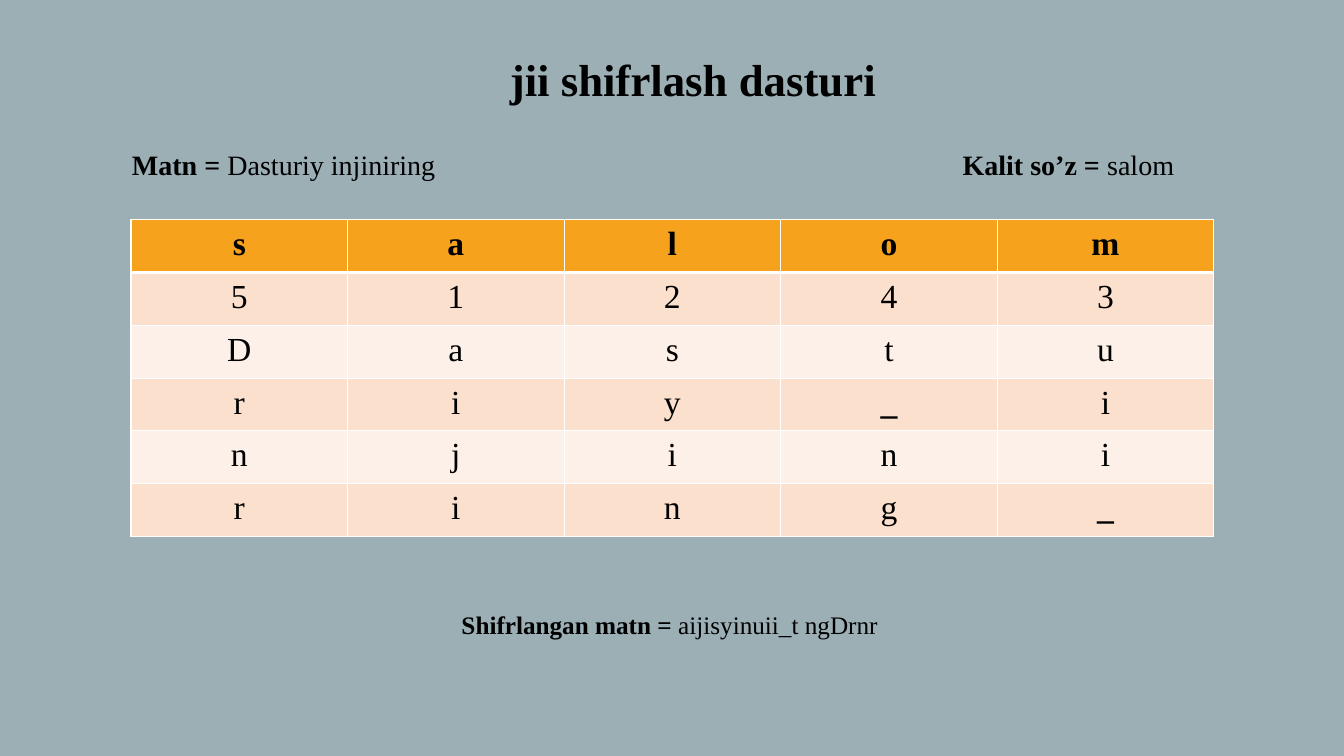
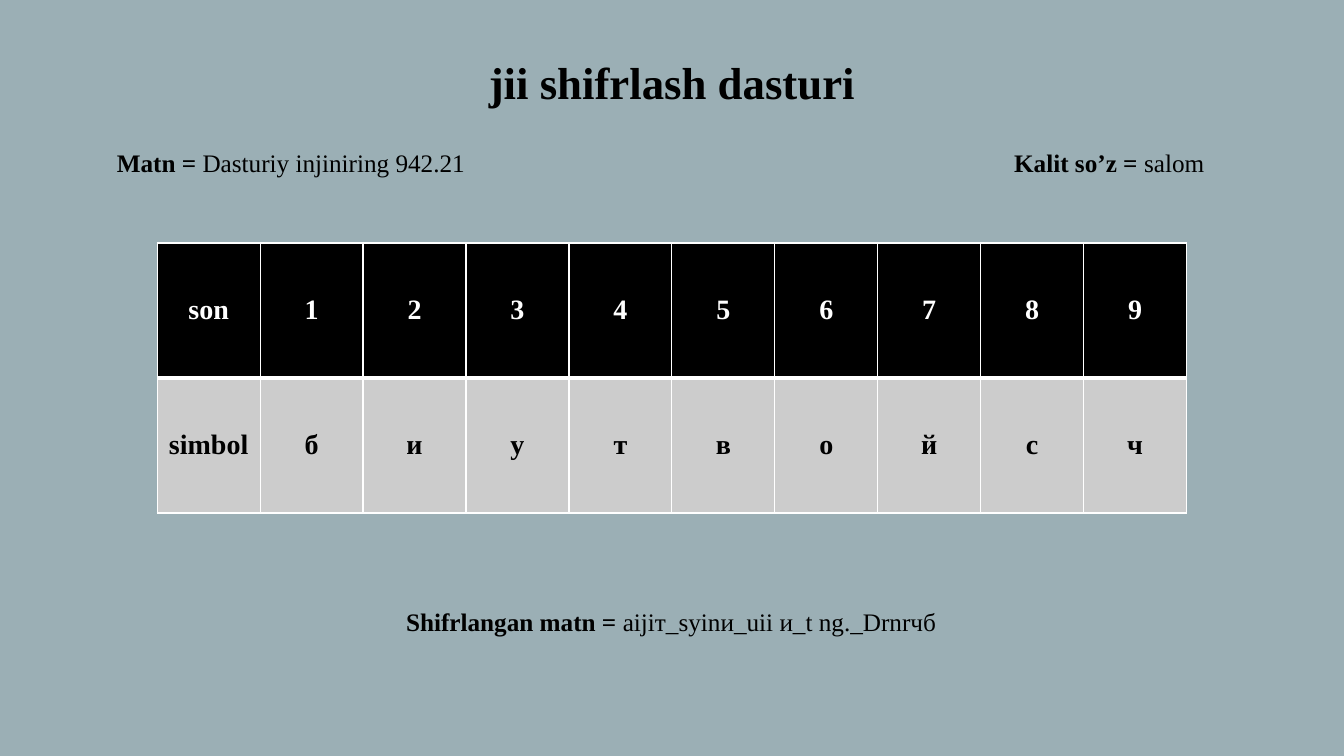
from lxml.etree import SubElement as Sub
from pptx import Presentation
from pptx.dml.color import RGBColor as Rgb
from pptx.enum.text import MSO_AUTO_SIZE as Auto, PP_ALIGN as Align
from pptx.oxml.ns import qn
from pptx.util import Inches, Pt

# Shared style
BACK = Rgb(0x9B, 0xAF, 0xB5)
BLACK = Rgb(0x00, 0x00, 0x00)
WHITE = Rgb(0xFF, 0xFF, 0xFF)
GRAY = Rgb(0xCC, 0xCC, 0xCC)
GOLD = Rgb(0xF6, 0xA2, 0x1D)
PEACH = Rgb(0xFB, 0xE0, 0xCD)
CREAM = Rgb(0xFD, 0xF0, 0xE8)
FONT = "Times New Roman"
TITLE = "jii shifrlash dasturi"
THIN, THICK = 1, 3


class Deck:
    """Holds the style and the current slide; lengths are percent of the slide."""

    def __init__(self):
        self.prs = Presentation()
        self.prs.slide_width = Inches(13.33)
        self.prs.slide_height = Inches(7.5)
        self.page = None

    def wide(self, share):
        return int(self.prs.slide_width * share / 100)

    def high(self, share):
        return int(self.prs.slide_height * share / 100)

    def slide(self):
        self.page = self.prs.slides.add_slide(self.prs.slide_layouts[6])
        fill = self.page.background.fill
        fill.solid()
        fill.fore_color.rgb = BACK

    def run(self, para, text, size, bold, color=BLACK):
        run = para.add_run()
        run.text = text
        font = run.font
        font.name, font.size, font.bold = FONT, Pt(size), bold
        font.color.rgb = color

    def text(self, x, y, w, size, head, tail=""):
        """One line: a bold head, then a plain tail."""
        tall = Inches(0.1) + Pt(size * 1.2)
        box = self.page.shapes.add_textbox(
            self.wide(x), self.high(y), self.wide(w), tall)
        frame = box.text_frame
        frame.word_wrap = True
        frame.auto_size = Auto.SHAPE_TO_FIT_TEXT
        para = frame.paragraphs[0]
        self.run(para, head, size, True)
        if tail:
            self.run(para, tail, size, False)

    def title(self, x, y):
        self.text(x, y, 29.1, 32, TITLE)

    def edge(self, cell, row):
        """White borders, thick between the header and the body."""
        props = cell._tc.get_or_add_tcPr()
        sides = {"L": THIN, "R": THIN,
                 "T": THICK if row == 1 else THIN,
                 "B": THICK if row == 0 else THIN}
        for spot, (side, width) in enumerate(sides.items()):
            line = Sub(props, qn(f"a:ln{side}"), w=str(Pt(width)))
            solid = Sub(line, qn("a:solidFill"))
            Sub(solid, qn("a:srgbClr"), val=str(WHITE))
            props.insert(spot, line)

    def table(self, x, y, w, h, rows, size, top, bands,
              ink=BLACK, bold=False, pad=(0.1, 0.05), space=None):
        """A header filled with top, then rows that take turns with bands."""
        count = len(rows[0])
        grid = self.page.shapes.add_table(
            len(rows), count, self.wide(x), self.high(y),
            self.wide(w), self.high(h)).table
        grid.first_row = grid.horz_banding = False
        for r, row in enumerate(rows):
            for c, word in enumerate(row):
                cell = grid.cell(r, c)
                cell.margin_left = cell.margin_right = Inches(pad[0])
                cell.margin_top = cell.margin_bottom = Inches(pad[1])
                cell.fill.solid()
                cell.fill.fore_color.rgb = bands[(r - 1) % len(bands)] if r else top
                self.edge(cell, r)
                para = cell.text_frame.paragraphs[0]
                para.alignment = Align.CENTER
                if space:
                    para.line_spacing = space
                self.run(para, word, size, bold or r == 0 or word == "_",
                         BLACK if r else ink)

    def save(self):
        self.prs.save("out.pptx")


def main():
    deck = Deck()

    # Letters set out under the key word
    deck.slide()
    deck.title(37.2, 6.13)
    deck.table(9.75, 29.07, 80.56, 41.9,
               ["salom", "51243", "Dastu", "riy_i", "njini", "ring_"],
               24, GOLD, [PEACH, CREAM], pad=(0.12, 0.06))
    deck.text(9.08, 18.8, 24.3, 20, "Matn = ", "Dasturiy injiniring")
    deck.text(70.88, 18.8, 17.4, 20, "Kalit so’z = ", "salom")
    deck.text(33.6, 80, 32.8, 18, "Shifrlangan matn = ", "aijisyinuii_t ngDrnr")

    # Digits and their symbols
    deck.slide()
    deck.title(35.63, 6.53)
    deck.table(11.7, 32.13, 76.6, 35.73,
               [["son", *"123456789"], ["simbol", *"биутвойсч"]],
               20, BLACK, [GRAY], ink=WHITE, bold=True, space=2.5)
    deck.text(7.95, 18.8, 27.7, 18, "Matn = ", "Dasturiy injiniring 942.21")
    deck.text(74.72, 18.8, 17.4, 18, "Kalit so’z = ", "salom")
    deck.text(29.48, 79.6, 41.2, 18, "Shifrlangan matn = ",
              "aijiт_syinи_uii и_t ng._Drnrчб")

    deck.save()


if __name__ == "__main__":
    main()
